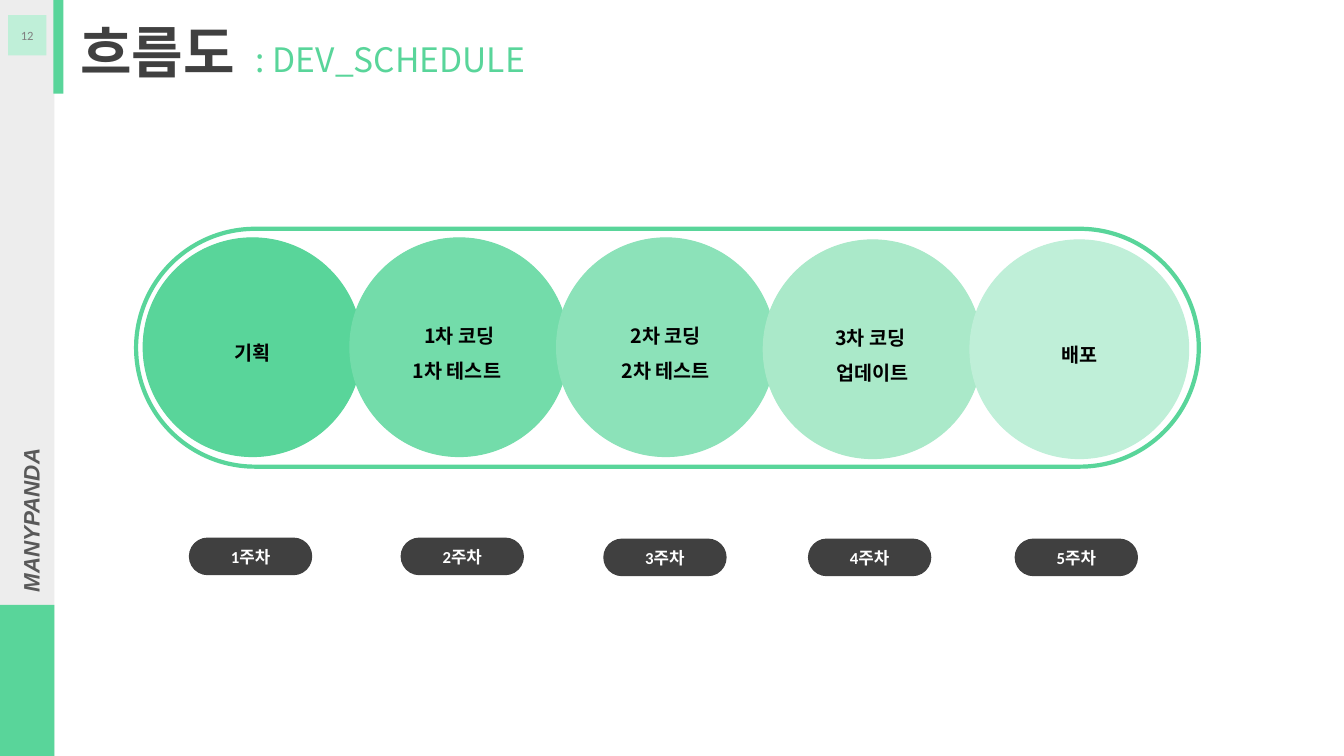
"""Build the development schedule flow slide."""
from dataclasses import dataclass
from typing import Optional

from lxml.etree import SubElement
from pptx import Presentation
from pptx.dml.color import RGBColor
from pptx.enum.shapes import MSO_SHAPE as Preset
from pptx.enum.text import MSO_ANCHOR as Anchor, PP_ALIGN as Align
from pptx.oxml.ns import qn
from pptx.util import Inches, Pt

COLORS = {
    "green": "59D59A",
    "mint": "BFEFD8",
    "dark": "404040",
    "sidebar": "D9D9D9",
    "brand": "595959",
    "number": "808080",
    "white": "FFFFFF",
    "black": "000000",
}
KOREAN = "Noto Sans CJK KR"
STAGE_LEFT, STAGE_STEP, STAGE_SIZE = 1.42, 2.05, 2.17
WEEK_WIDTH, WEEK_HEIGHT = 1.21, 0.36


@dataclass(frozen=True)
class Box:
    left: float
    top: float
    width: float
    height: float

    def inches(self) -> tuple:
        return tuple(Inches(v) for v in (self.left, self.top, self.width, self.height))


@dataclass(frozen=True)
class Style:
    size: float
    color: str
    face: str = KOREAN
    bold: bool = False
    italic: bool = False
    align: Align = Align.CENTER
    spacing: Optional[float] = None


@dataclass(frozen=True)
class Stage:
    lines: tuple
    color: str
    top: float
    week_left: float
    week_top: float


STAGES = (
    Stage(("기획",), "59D59A", 2.36, 1.88, 5.34),
    Stage(("1차 코딩", "1차 테스트 "), "73DCAA", 2.36, 3.98, 5.34),
    Stage(("2차 코딩", "2차 테스트"), "8CE2B9", 2.36, 5.99, 5.35),
    Stage(("3차 코딩 ", "업데이트"), "AAE9C9", 2.38, 8.02, 5.35),
    Stage(("배포",), "BFEFD8", 2.38, 10.07, 5.35),
)
STAGE_STYLE = Style(14, COLORS["black"], bold=True, spacing=1.5)
WEEK_STYLE = Style(12, COLORS["white"], "Calibri", bold=True)


def write(shape, lines: tuple, style: Style, wrap: bool = True, anchor: Anchor = Anchor.MIDDLE) -> None:
    frame = shape.text_frame
    frame.text = "\n".join(lines)
    frame.word_wrap = wrap
    frame.vertical_anchor = anchor
    for paragraph in frame.paragraphs:
        paragraph.alignment = style.align
        if style.spacing:
            paragraph.line_spacing = style.spacing
        font = paragraph.font
        font.size, font.bold, font.italic = Pt(style.size), style.bold, style.italic
        font.color.rgb = RGBColor.from_string(style.color)
        font.name = style.face
        defaults = paragraph._p.pPr.find(qn("a:defRPr"))
        SubElement(defaults, qn("a:ea")).set("typeface", KOREAN)


def add_panel(slide, box: Box, fill: Optional[str], line: Optional[str] = None,
              line_width: float = 1, preset: Preset = Preset.RECTANGLE):
    panel = slide.shapes.add_shape(preset, *box.inches())
    panel.shadow.inherit = False
    if preset == Preset.ROUNDED_RECTANGLE:
        panel.adjustments[0] = 0.5
    if fill:
        panel.fill.solid()
        panel.fill.fore_color.rgb = RGBColor.from_string(fill)
    else:
        panel.fill.background()
    if line:
        panel.line.color.rgb = RGBColor.from_string(line)
        panel.line.width = Pt(line_width)
    else:
        panel.line.fill.background()
    return panel


def add_pill(slide, box: Box, fill: Optional[str], line: str, line_width: float):
    return add_panel(slide, box, fill, line, line_width, Preset.ROUNDED_RECTANGLE)


def add_label(slide, box: Box, text: str, style: Style, anchor: Anchor = Anchor.MIDDLE):
    label = slide.shapes.add_textbox(*box.inches())
    write(label, (text,), style, anchor=anchor)
    return label


def add_frame(slide) -> None:
    sidebar = add_panel(slide, Box(0, 0, 0.54, 7.5), COLORS["sidebar"])
    tint = sidebar.fill._xPr.find(qn("a:solidFill"))[0]
    SubElement(tint, qn("a:alpha")).set("val", "46000")
    add_panel(slide, Box(0, 6, 0.54, 1.5), COLORS["green"])
    brand = add_label(slide, Box(-1.2, 4.96, 3.01, 0.41), "MANYPANDA",
                      Style(16, COLORS["brand"], "Arial", bold=True, italic=True))
    brand.rotation = 270
    page_number = add_panel(slide, Box(0.08, 0.15, 0.38, 0.4), COLORS["mint"])
    write(page_number, ("12",), Style(9, COLORS["number"], "Calibri"))
    add_panel(slide, Box(0.53, 0, 0.1, 0.93), COLORS["green"])
    add_label(slide, Box(0.7, 0.07, 2.42, 0.87), "흐름도",
              Style(40, COLORS["dark"], bold=True, align=Align.LEFT))
    add_label(slide, Box(2.44, 0.34, 3.83, 0.49), ": DEV_SCHEDULE",
              Style(24, COLORS["green"], align=Align.LEFT), Anchor.TOP)


def add_schedule(slide) -> None:
    add_pill(slide, Box(1.35, 2.27, 10.54, 2.36), None, COLORS["green"], 3)
    for index, stage in enumerate(STAGES):
        left = STAGE_LEFT + index * STAGE_STEP
        circle = add_pill(slide, Box(left, stage.top, STAGE_SIZE, STAGE_SIZE),
                          stage.color, stage.color, 0.75)
        write(circle, stage.lines, STAGE_STYLE, wrap=False)
        week = add_pill(slide, Box(stage.week_left, stage.week_top, WEEK_WIDTH, WEEK_HEIGHT),
                        COLORS["dark"], COLORS["dark"], 1)
        write(week, (f"{index + 1}주차",), WEEK_STYLE)


def main() -> None:
    deck = Presentation()
    deck.slide_width, deck.slide_height = Inches(13.33), Inches(7.5)
    slide = deck.slides.add_slide(deck.slide_layouts[6])
    add_frame(slide)
    add_schedule(slide)
    deck.save("out.pptx")


if __name__ == "__main__":
    main()
